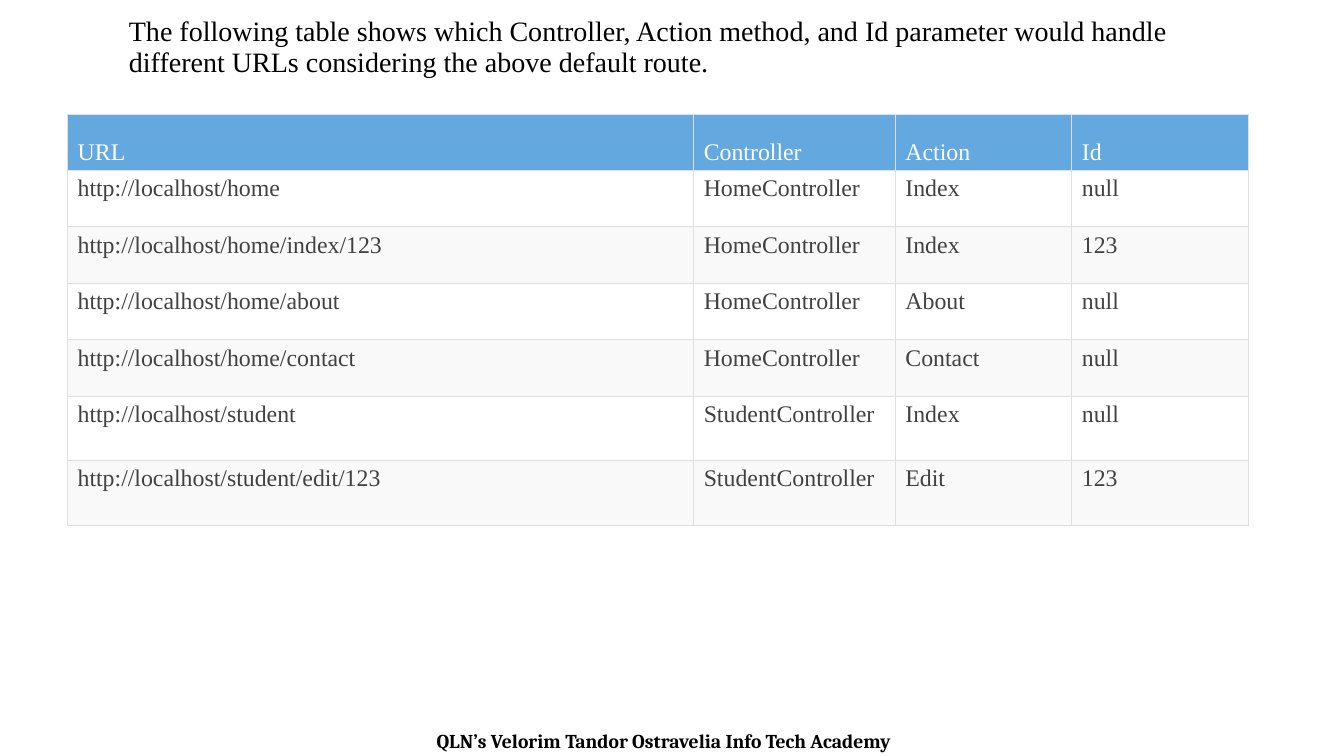
from lxml.etree import SubElement
from pptx import Presentation
from pptx.dml.color import RGBColor
from pptx.enum.text import MSO_ANCHOR, PP_ALIGN
from pptx.oxml.ns import qn
from pptx.util import Inches, Pt

SERIF = "Times New Roman"
COLUMN_WIDTHS = [6.21, 2, 1.75, 1.75]
ROW_HEIGHTS = [0.56] * 5 + [0.64] * 2
ROUTES = [
    ("URL", "Controller", "Action", "Id"),
    ("http://localhost/home", "HomeController", "Index", "null"),
    ("http://localhost/home/index/123", "HomeController", "Index", "123"),
    ("http://localhost/home/about", "HomeController", "About", "null"),
    ("http://localhost/home/contact", "HomeController", "Contact", "null"),
    ("http://localhost/student", "StudentController", "Index", "null"),
    ("http://localhost/student/edit/123", "StudentController", "Edit", "123"),
]


def color(value):
    """Turn a hex string into a colour."""
    return RGBColor.from_string(value)


def style_font(paragraph, name, size, value, bold=False):
    """Set the font of a whole paragraph."""
    font = paragraph.font
    font.name, font.size, font.bold = name, Pt(size), bold
    font.color.rgb = color(value)


def add_text(page, text, position, name, size, align=PP_ALIGN.LEFT, bold=False):
    """Add a wrapped black text box and return its paragraph."""
    box = page.shapes.add_textbox(*map(Inches, position))
    frame = box.text_frame
    frame.word_wrap = True
    frame.vertical_anchor = MSO_ANCHOR.MIDDLE
    paragraph = frame.paragraphs[0]
    paragraph.text = text
    paragraph.alignment = align
    style_font(paragraph, name, size, "000000", bold)
    return paragraph


def add_borders(cell, value, width):
    """Draw the four borders of a cell ahead of its fill."""
    properties = cell._tc.get_or_add_tcPr()
    for index, side in enumerate(("lnL", "lnR", "lnT", "lnB")):
        line = SubElement(properties, qn(f"a:{side}"), w=str(Pt(width)))
        fill = SubElement(line, qn("a:solidFill"))
        SubElement(fill, qn("a:srgbClr"), val=value)
        properties.insert(index, line)


def fill_cell(cell, text, row):
    """Write one cell in the header style or the banded body style."""
    header = row == 0
    cell.text = text
    cell.vertical_anchor = MSO_ANCHOR.BOTTOM if header else MSO_ANCHOR.TOP
    cell.fill.solid()
    band = "FFFFFF" if row % 2 else "F9F9F9"
    cell.fill.fore_color.rgb = color("63A9E0" if header else band)
    paragraph = cell.text_frame.paragraphs[0]
    style_font(paragraph, SERIF, 17, "FFFFFF" if header else "414141")
    add_borders(cell, "DFDFDF", 0.6)


def add_route_table(page):
    """Add the table that maps URLs to controllers."""
    position = map(Inches, (0.67, 1.13, sum(COLUMN_WIDTHS), sum(ROW_HEIGHTS)))
    table = page.shapes.add_table(len(ROUTES), len(COLUMN_WIDTHS), *position).table
    for column, width in zip(table.columns, COLUMN_WIDTHS):
        column.width = Inches(width)
    for row, height in zip(table.rows, ROW_HEIGHTS):
        row.height = Inches(height)
    for row, route in enumerate(ROUTES):
        for column, text in enumerate(route):
            fill_cell(table.cell(row, column), text, row)


def main():
    """Build the routing slide."""
    deck = Presentation()
    deck.slide_width, deck.slide_height = Inches(13.33), Inches(7.5)
    page = deck.slides.add_slide(deck.slide_layouts[6])
    add_text(page, "QLN’s Velorim Tandor Ostravelia Info Tech Academy",
             (-0.08, 7.18, 13.33, 0.34), "Cambria", 14, PP_ALIGN.CENTER, True)
    title = add_text(
        page,
        "The following table shows which Controller, Action method, and Id "
        "parameter would handle different URLs considering the above default route.",
        (1.18, 0.11, 11.32, 0.73), SERIF, 20)
    title.line_spacing = 0.9
    add_route_table(page)
    deck.save("out.pptx")


if __name__ == "__main__":
    main()
